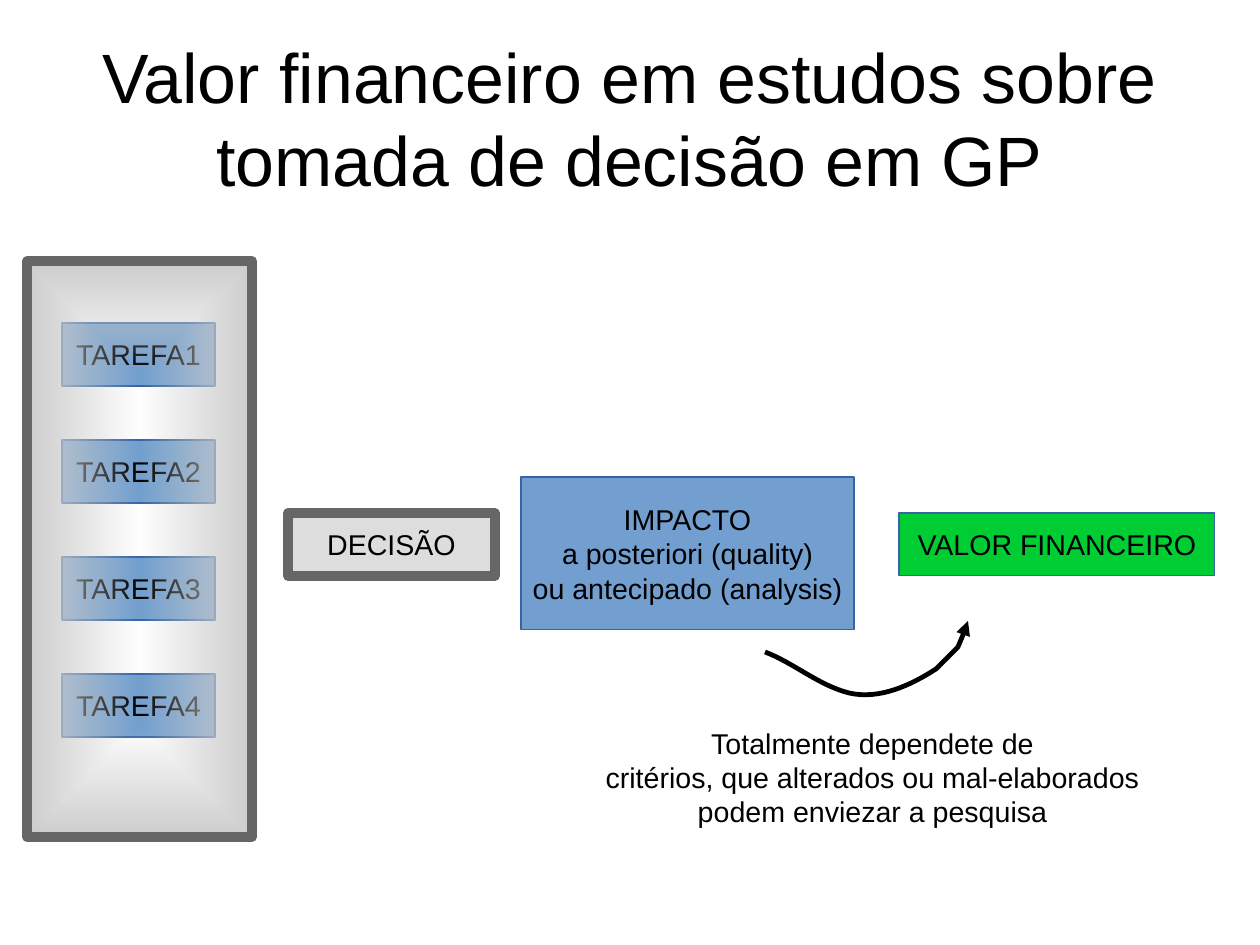
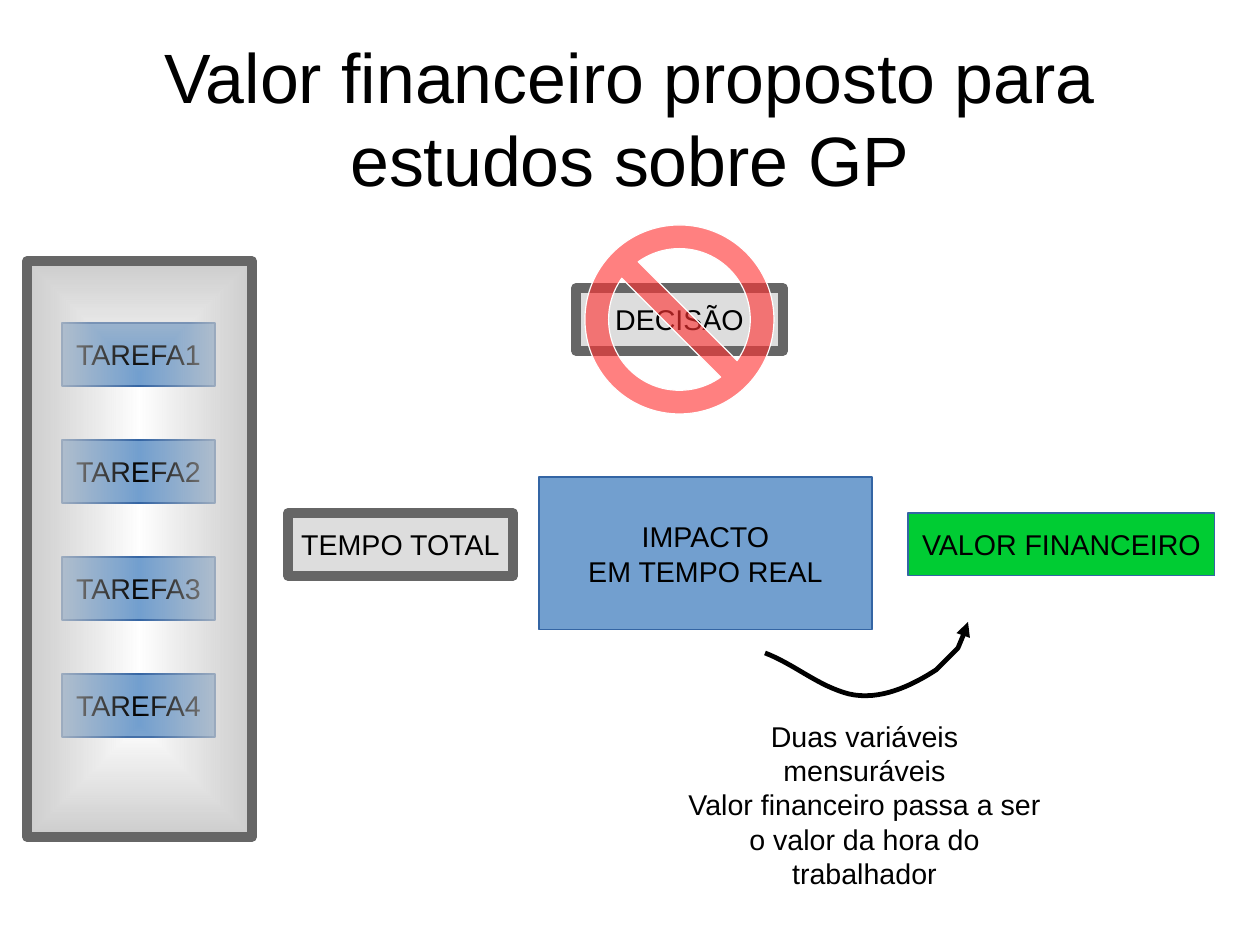
from dataclasses import dataclass

from lxml import etree
from pptx import Presentation
from pptx.dml.color import RGBColor
from pptx.enum.shapes import MSO_SHAPE
from pptx.enum.text import MSO_ANCHOR, MSO_AUTO_SIZE, PP_ALIGN
from pptx.oxml import parse_xml
from pptx.oxml.ns import nsdecls, qn
from pptx.util import Pt

RECTANGLE, NO_SYMBOL = MSO_SHAPE.RECTANGLE, MSO_SHAPE.NO_SYMBOL
MIDDLE, TOP = MSO_ANCHOR.MIDDLE, MSO_ANCHOR.TOP
CENTER, NO_AUTOFIT = PP_ALIGN.CENTER, MSO_AUTO_SIZE.NONE
PX = 8000


@dataclass(frozen=True)
class Theme:
    font: str = "Arial"
    title_size: int = 44
    body_size: int = 18
    thin: int = 0
    curve: int = 3
    thick: int = 6
    ink: str = "000000"
    white: str = "FFFFFF"
    blue: str = "729FCF"
    blue_edge: str = "3465A4"
    green: str = "00CC33"
    gray: str = "DDDDDD"
    gray_edge: str = "666666"
    veil: str = "CCCCCC"
    red: str = "FF3333"


theme = Theme()


def write(shape, text, size, anchor=MIDDLE, wrap=False):
    frame = shape.text_frame
    frame.text = text
    frame.word_wrap = wrap
    frame.auto_size = NO_AUTOFIT
    frame.vertical_anchor = anchor
    for para in frame.paragraphs:
        para.alignment = CENTER
        for span in para.runs:
            span.font.name = theme.font
            span.font.size = Pt(size)
            span.font.color.rgb = RGBColor.from_string(theme.ink)


def draw(page, kind, area, fill, edge, width):
    shape = page.shapes.add_shape(kind, *[value * PX for value in area])
    shape.shadow.inherit = False
    shape.fill.solid()
    shape.fill.fore_color.rgb = RGBColor.from_string(fill)
    shape.line.color.rgb = RGBColor.from_string(edge)
    shape.line.width = Pt(width)
    etree.SubElement(shape.line._get_or_add_ln(), qn("a:round"))
    return shape


BLUE = (theme.blue, theme.blue_edge, theme.thin)
GREEN = (theme.green, theme.blue_edge, theme.thin)
GRAY = (theme.gray, theme.gray_edge, theme.thick)

tasks = [(f"TAREFA{i + 1}", (62, 323 + 117 * i, 153, 63), BLUE) for i in range(4)]

pages = [
    {
        "title": "Valor financeiro em estudos sobre tomada de decisão em GP",
        "boxes": [
            ("IMPACTO\na posteriori (quality)\vou antecipado (analysis)", (521, 477, 333, 153), BLUE),
            ("VALOR FINANCEIRO", (899, 513, 316, 63), GREEN),
            ("DECISÃO", (288, 513, 207, 63), GRAY),
        ],
        "ban": None,
        "curve_top": 652,
        "note": "Totalmente dependete de\ncritérios, que alterados ou mal-elaborados\npodem enviezar a pesquisa",
        "note_area": (594, 720, 557, 107),
        "note_wrap": False,
    },
    {
        "title": "Valor financeiro proposto para estudos sobre GP",
        "boxes": [
            ("IMPACTO\nEM TEMPO REAL", (539, 477, 333, 153), BLUE),
            ("VALOR FINANCEIRO", (908, 513, 307, 63), GREEN),
            ("DECISÃO", (576, 288, 207, 63), GRAY),
            ("TEMPO TOTAL", (288, 513, 225, 63), GRAY),
        ],
        "ban": (585, 225, 189, 189),
        "curve_top": 653,
        "note": "Duas variáveis mensuráveis\nValor financeiro passa a ser o valor da hora do trabalhador",
        "note_area": (675, 713, 379, 171),
        "note_wrap": True,
    },
]

bends = [
    ((0, 0), (29, 11), (53, 33), (84, 41)),
    ((84, 41), (115, 48), (146, 33), (171, 17)),
]
STEPS = 16
curve_points = []
for a, b, c, d in bends:
    for step in range(1, STEPS + 1):
        t = step / STEPS
        u = 1 - t
        weights = (u ** 3, 3 * u * u * t, 3 * u * t * t, t ** 3)
        curve_points.append(tuple(
            sum(weight * point[axis] for weight, point in zip(weights, (a, b, c, d)))
            for axis in (0, 1)
        ))
curve_points += [(193, -5), (203, -29), (203, -31)]

deck = Presentation()
deck.slide_width = 1260 * PX
deck.slide_height = 945 * PX

for content in pages:
    page = deck.slides.add_slide(deck.slide_layouts[5])
    title = page.shapes.title
    title.left, title.top, title.width, title.height = [value * PX for value in (63, 38, 1134, 158)]
    write(title, content["title"], theme.title_size, wrap=True)
    frame = title.text_frame
    frame.margin_left = frame.margin_top = frame.margin_right = frame.margin_bottom = 0

    for text, area, style in content["boxes"] + tasks:
        write(draw(page, RECTANGLE, area, *style), text, theme.body_size)

    veil = draw(page, RECTANGLE, (27, 261, 225, 576), theme.veil, theme.gray_edge, theme.thick)
    solid = veil.fill._xPr.find(qn("a:solidFill"))
    solid.getparent().replace(solid, parse_xml(
        f'<a:gradFill {nsdecls("a")} rotWithShape="1"><a:gsLst>'
        f'<a:gs pos="0"><a:srgbClr val="{theme.veil}"><a:alpha val="0"/></a:srgbClr></a:gs>'
        f'<a:gs pos="100000"><a:srgbClr val="{theme.veil}"/></a:gs></a:gsLst>'
        '<a:path path="rect"><a:fillToRect l="50000" t="50000" r="50000" b="50000"/></a:path>'
        '</a:gradFill>'
    ))

    if content["ban"]:
        ban = draw(page, NO_SYMBOL, content["ban"], theme.red, theme.white, theme.thin)
        ban.adjustments[0] = 0.125
        color = ban.fill._xPr.find(qn("a:solidFill"))[0]
        etree.SubElement(color, qn("a:alpha"), val="62000")

    builder = page.shapes.build_freeform(765 * PX, content["curve_top"] * PX)
    builder.add_line_segments(
        [(round((765 + x) * PX), round((content["curve_top"] + y) * PX)) for x, y in curve_points],
        close=False,
    )
    curve = builder.convert_to_shape()
    curve.shadow.inherit = False
    curve.fill.background()
    curve.line.color.rgb = RGBColor.from_string(theme.ink)
    curve.line.width = Pt(theme.curve)
    etree.SubElement(curve.line._get_or_add_ln(), qn("a:tailEnd"), type="triangle")

    note = page.shapes.add_textbox(*[value * PX for value in content["note_area"]])
    write(note, content["note"], theme.body_size, TOP, content["note_wrap"])

deck.save("out.pptx")
